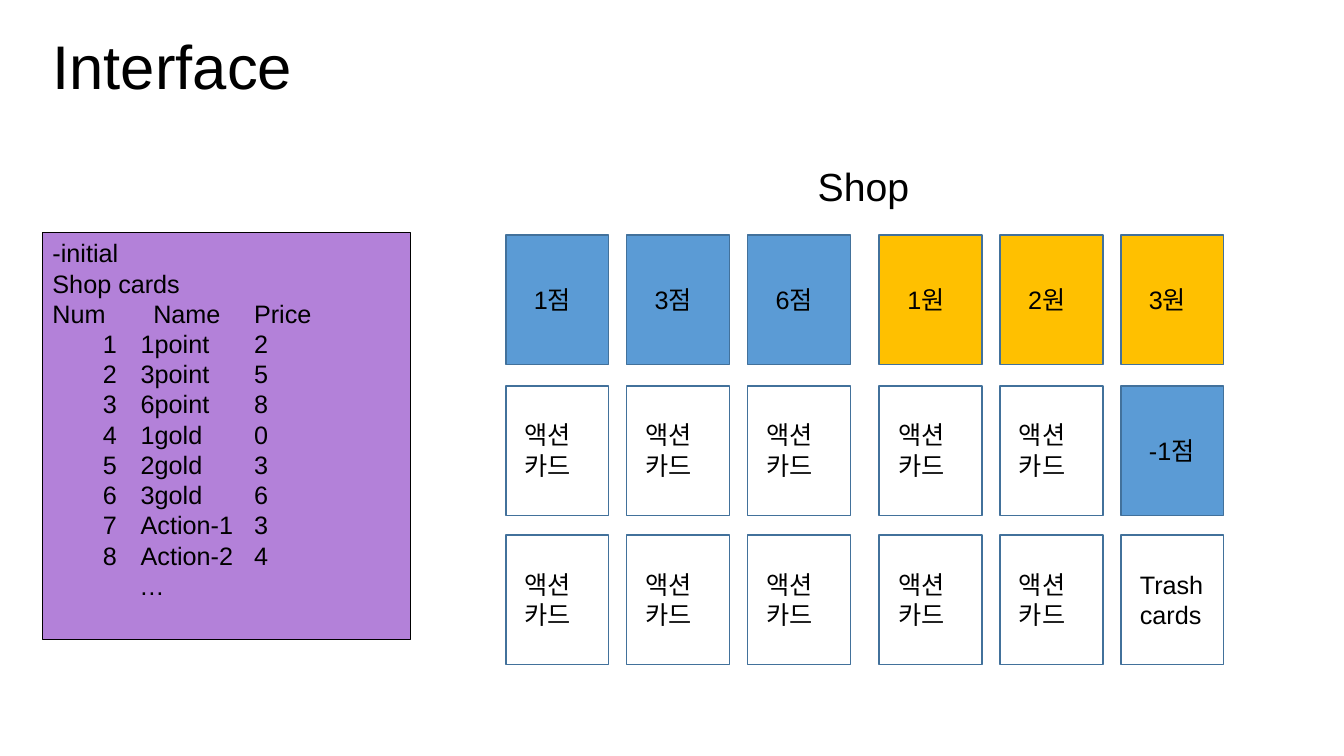
from pptx import Presentation
from pptx.dml.color import RGBColor
from pptx.enum.shapes import MSO_SHAPE as Shape
from pptx.enum.text import MSO_ANCHOR as Anchor, PP_ALIGN as Align
from pptx.oxml.ns import qn
from pptx.util import Pt
from lxml.etree import SubElement

FONT = "Arial"
COLORS = {"black": "000000", "white": "FFFFFF", "blue": "5B9BD5",
          "gold": "FFC000", "card_line": "42719B", "purple": "B381D9"}

CARD_WIDTH, CARD_HEIGHT = 73.5, 92.3
CARD_STEP = 86.3
GROUP_LEFTS = (361.3, 628)
ROW_TOPS = (168, 275.8, 382.3)
ACTION = ("액션카드", "white")
SHOP_ROWS = [
    [("1점", "blue"), ("3점", "blue"), ("6점", "blue"),
     ("1원", "gold"), ("2원", "gold"), ("3원", "gold")],
    [ACTION] * 5 + [("-1점", "blue")],
    [ACTION] * 5 + [("Trash\ncards", "white")],
]
CARD_LIST = [("1point", 2), ("3point", 5), ("6point", 8), ("1gold", 0),
             ("2gold", 3), ("3gold", 6), ("Action-1", 3), ("Action-2", 4)]
TAB_STEP = 72


def color(name):
    return RGBColor.from_string(COLORS[name])


def write(frame, text, size):
    frame.word_wrap = True
    frame.text = text
    for para in frame.paragraphs:
        para.alignment = Align.LEFT
        para.font.name = FONT
        para.font.size = Pt(size)
        para.font.color.rgb = color("black")


def add_text(page, left, top, width, height, text, size):
    box = page.shapes.add_textbox(Pt(left), Pt(top), Pt(width), Pt(height))
    write(box.text_frame, text, size)


def add_rect(page, left, top, width, height, fill, line, line_width):
    rect = page.shapes.add_shape(Shape.RECTANGLE, Pt(left), Pt(top),
                                 Pt(width), Pt(height))
    rect.shadow.inherit = False
    rect.fill.solid()
    rect.fill.fore_color.rgb = color(fill)
    rect.line.color.rgb = color(line)
    rect.line.width = Pt(line_width)
    return rect


def indent(para, left, hanging=0):
    props = para._p.get_or_add_pPr()
    props.set("marL", str(Pt(left)))
    props.set("indent", str(-Pt(hanging)))
    return props


def add_title(page, text):
    title = page.shapes.title
    title.left, title.top = Pt(30.4), Pt(16)
    title.width, title.height = Pt(558.7), Pt(60.5)
    write(title.text_frame, text, 44)
    title.text_frame.vertical_anchor = Anchor.MIDDLE


def add_card(page, left, top, label, fill):
    add_rect(page, left, top, CARD_WIDTH, CARD_HEIGHT, fill, "card_line", 1)
    if fill == "white":
        add_text(page, left + 6.5, top + 20.5, 60.5, 51, label, 18)
    else:
        add_text(page, left + 13, top + 31.7, 60.5, 29, label, 18)


def add_shop(page):
    add_text(page, 577, 112.3, 80.6, 41, "Shop", 28)
    for top, cards in zip(ROW_TOPS, SHOP_ROWS):
        for index, (label, fill) in enumerate(cards):
            group, column = divmod(index, 3)
            left = GROUP_LEFTS[group] + column * CARD_STEP
            add_card(page, left, top, label, fill)


def add_card_list(page):
    panel = add_rect(page, 30.4, 166.2, 262.8, 290.9, "purple", "black", 0.75)
    frame = panel.text_frame
    heading = ["-initial", "Shop cards", "Num\tName\tPrice"]
    entries = [f"{name}\t{price}" for name, price in CARD_LIST]
    write(frame, "\n".join(heading + entries + ["…"]), 18)
    frame.vertical_anchor = Anchor.TOP
    for para in frame.paragraphs:
        para._p.get_or_add_pPr().set("defTabSz", str(Pt(TAB_STEP)))
    *numbered, ellipsis = frame.paragraphs[len(heading):]
    for para in numbered:
        para.level = 1
        props = indent(para, 63, 27)
        SubElement(props, qn("a:buAutoNum"), type="arabicPlain")
        # Bullets must come before the default run properties.
        props.append(props.find(qn("a:defRPr")))
    ellipsis.level = 1
    indent(ellipsis, 62)


def main():
    deck = Presentation()
    deck.slide_width, deck.slide_height = Pt(960), Pt(540)
    page = deck.slides.add_slide(deck.slide_layouts[5])
    add_shop(page)
    add_title(page, "Interface")
    add_card_list(page)
    deck.save("out.pptx")


if __name__ == "__main__":
    main()
